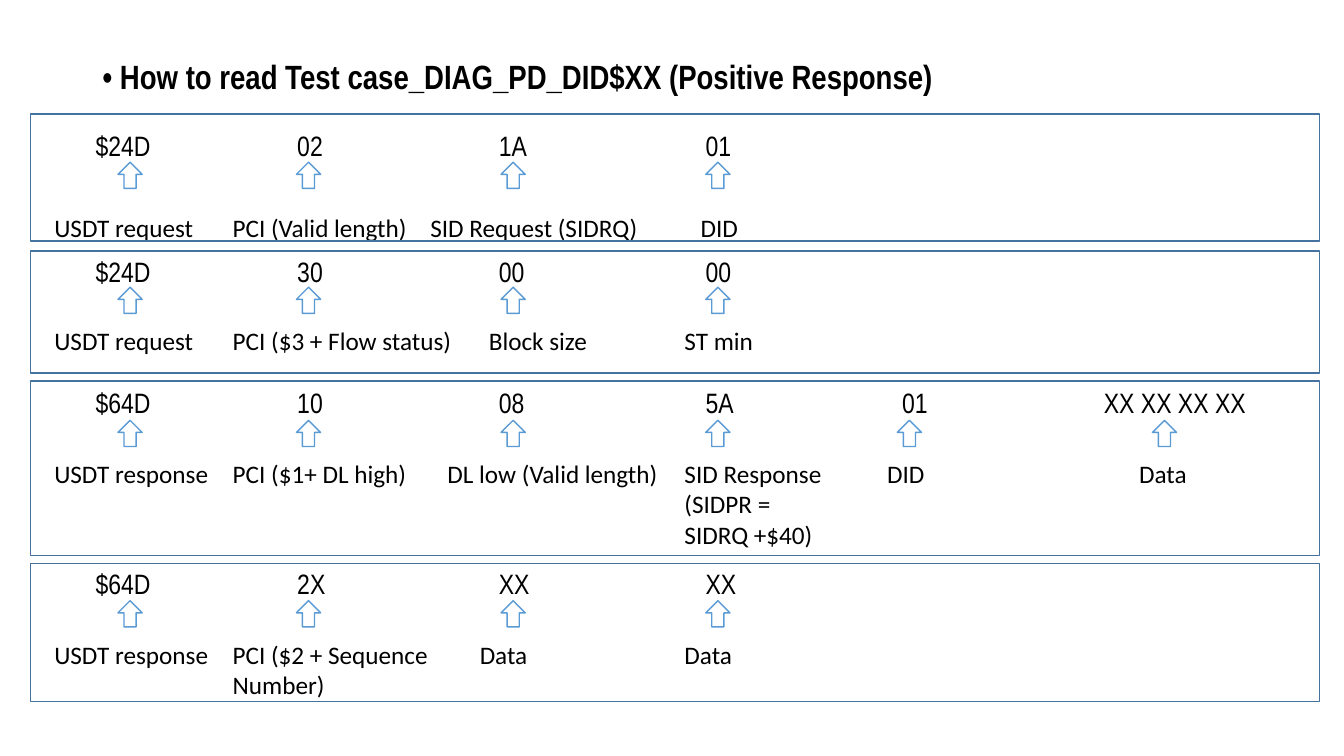
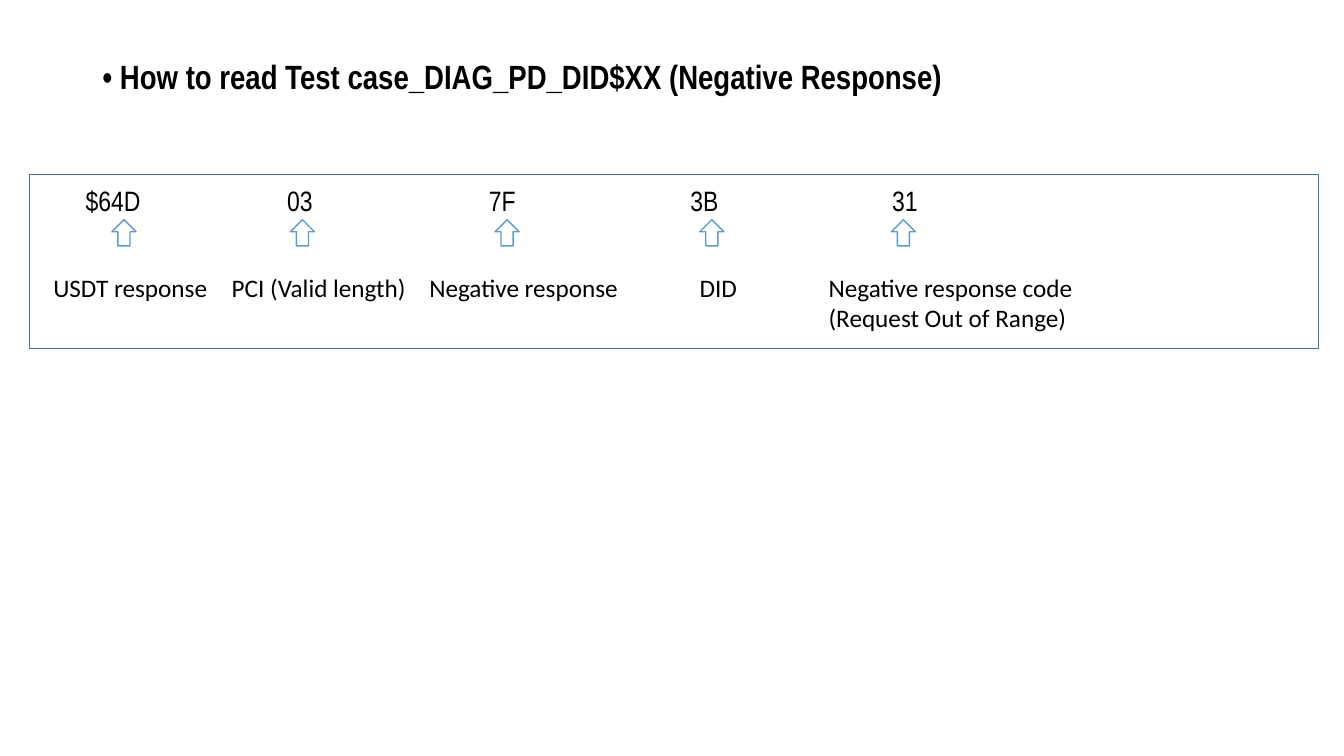
import pptx
import pptx.dml.color
import pptx.enum.shapes
import pptx.enum.text
import pptx.oxml
import pptx.oxml.ns
import pptx.util
from dataclasses import dataclass

Inches = pptx.util.Inches
Pt = pptx.util.Pt

COLORS = {"text": "000000", "arrow": "5B9BD5", "arrow_fill": "FFFFFF", "frame": "43739E"}
CODE_FONT = "Arial Narrow"
LABEL_FONT = "Calibri"
ARROW_LEFTS = (1.17, 2.94, 4.97, 7.00, 8.90, 11.43)
FRAME_WIDTH = 12.79
LABEL_LINE = 0.30


@dataclass
class Message:
    """One diagnostic message: its bytes, and a label (text, left, width, lines) for each."""
    codes: tuple
    labels: tuple
    frame_top: float
    frame_height: float
    code_top: float
    arrow_top: float
    label_top: float


@dataclass
class Columns:
    """Horizontal placement of the message parts on a slide."""
    frame_left: float
    code_left: float
    arrow_shift: float
    code_stops: tuple


POSITIVE_COLUMNS = Columns(0.30, 0.85, 0, (2, 4, 6.05, 8, 10))
NEGATIVE_COLUMNS = Columns(0.29, 0.75, -0.06, (2, 4, 6, 8))

POSITIVE_MESSAGES = (
    Message(("$24D", "02", "1A", "01"),
            (("USDT request", 0.44, 1.59, 1), ("PCI (Valid length)", 2.21, 1.94, 1),
             ("SID Request (SIDRQ)", 4.17, 2.42, 1), ("DID", 6.85, 1.68, 1)),
            1.13, 1.26, 1.26, 1.61, 2.06),
    Message(("$24D", "30", "00", "00"),
            (("USDT request", 0.44, 1.59, 1), ("PCI ($3 + Flow status)", 2.21, 2.45, 1),
             ("Block size", 4.75, 1.68, 1), ("ST min", 6.69, 1.68, 1)),
            2.49, 1.21, 2.51, 2.85, 3.18),
    Message(("$64D", "10", "08", "5A", "01", "XX XX XX XX"),
            (("USDT response", 0.44, 1.77, 1), ("PCI ($1+ DL high)", 2.21, 2.45, 1),
             ("DL low (Valid length)", 4.34, 2.33, 1),
             ("SID Response (SIDPR = SIDRQ +$40)", 6.69, 1.68, 3),
             ("DID", 8.70, 1.45, 1), ("Data", 11.20, 1.45, 1)),
            3.78, 1.73, 3.81, 4.17, 4.50),
    Message(("$64D", "2X", "XX", "XX"),
            (("USDT response", 0.44, 1.77, 1), ("PCI ($2 + Sequence Number)", 2.21, 2.66, 2),
             ("Data", 4.66, 1.68, 1), ("Data", 6.69, 1.68, 1)),
            5.59, 1.37, 5.61, 5.96, 6.29),
)

NEGATIVE_MESSAGES = (
    Message(("$64D", "03", "7F", "3B", "31"),
            (("USDT response", 0.43, 1.75, 1), ("PCI (Valid length)", 2.20, 1.94, 1),
             ("Negative response", 4.16, 2.42, 1), ("DID", 6.84, 1.68, 1),
             ("Negative response code (Request Out of Range)", 8.12, 2.68, 2)),
            1.73, 1.73, 1.81, 2.18, 2.65),
)


def rgb(name):
    return pptx.dml.color.RGBColor.from_string(COLORS[name])


def add_text(slide, text, left, top, width, height, font, size, bold=False):
    box = slide.shapes.add_textbox(Inches(left), Inches(top), Inches(width), Inches(height))
    frame = box.text_frame
    frame.word_wrap = True
    frame.text = text
    style = frame.paragraphs[0].runs[0].font
    style.name, style.size, style.bold = font, Pt(size), bold
    style.color.rgb = rgb("text")
    return frame


def add_title(slide, outcome):
    frame = add_text(slide, f"• How to read Test case_DIAG_PD_DID$XX ({outcome} Response)",
                     0.92, 0.08, 11.5, 1.77, CODE_FONT, 24, bold=True)
    frame.vertical_anchor = pptx.enum.text.MSO_ANCHOR.MIDDLE
    frame.margin_bottom = Inches(0.41)
    frame.paragraphs[0].line_spacing = 0.9


def add_codes(slide, codes, left, top, stops):
    """Write the message bytes as one line, set apart by tab stops."""
    frame = add_text(slide, "\t".join(codes), left, top, 12.24, 0.43, CODE_FONT, 20)
    paragraph = frame.paragraphs[0]
    paragraph.line_spacing = 0.9
    paragraph.space_before = Pt(10)
    tabs = "".join(f'<a:tab pos="{Inches(stop)}" algn="l"/>' for stop in stops)
    paragraph._p.get_or_add_pPr().append(pptx.oxml.parse_xml(
        f'<a:tabLst {pptx.oxml.ns.nsdecls("a")}>{tabs}</a:tabLst>'))


def add_label(slide, text, left, top, width, lines):
    frame = add_text(slide, text, left, top, width, 0.1 + lines * LABEL_LINE, LABEL_FONT, 18)
    frame.auto_size = pptx.enum.text.MSO_AUTO_SIZE.SHAPE_TO_FIT_TEXT


def add_outline(slide, preset, left, top, width, height, line, fill=None):
    shape = slide.shapes.add_shape(preset, Inches(left), Inches(top),
                                   Inches(width), Inches(height))
    shape.shadow.inherit = False
    if fill:
        shape.fill.solid()
        shape.fill.fore_color.rgb = rgb(fill)
    else:
        shape.fill.background()
    shape.line.color.rgb = rgb(line)
    shape.line.width = Pt(1)


def add_message(slide, message, columns):
    presets = pptx.enum.shapes.MSO_SHAPE
    add_codes(slide, message.codes, columns.code_left, message.code_top, columns.code_stops)
    for arrow_left, (text, left, width, lines) in zip(ARROW_LEFTS, message.labels):
        add_outline(slide, presets.UP_ARROW, arrow_left + columns.arrow_shift,
                    message.arrow_top, 0.24, 0.26, "arrow", "arrow_fill")
        add_label(slide, text, left, message.label_top, width, lines)
    add_outline(slide, presets.RECTANGLE, columns.frame_left, message.frame_top,
                FRAME_WIDTH, message.frame_height, "frame")


def main():
    deck = pptx.Presentation()
    deck.slide_width, deck.slide_height = Inches(13.33), Inches(7.5)
    for outcome, messages, columns in (
            ("Positive", POSITIVE_MESSAGES, POSITIVE_COLUMNS),
            ("Negative", NEGATIVE_MESSAGES, NEGATIVE_COLUMNS)):
        slide = deck.slides.add_slide(deck.slide_layouts[6])
        add_title(slide, outcome)
        for message in messages:
            add_message(slide, message, columns)
    deck.save("out.pptx")


if __name__ == "__main__":
    main()
